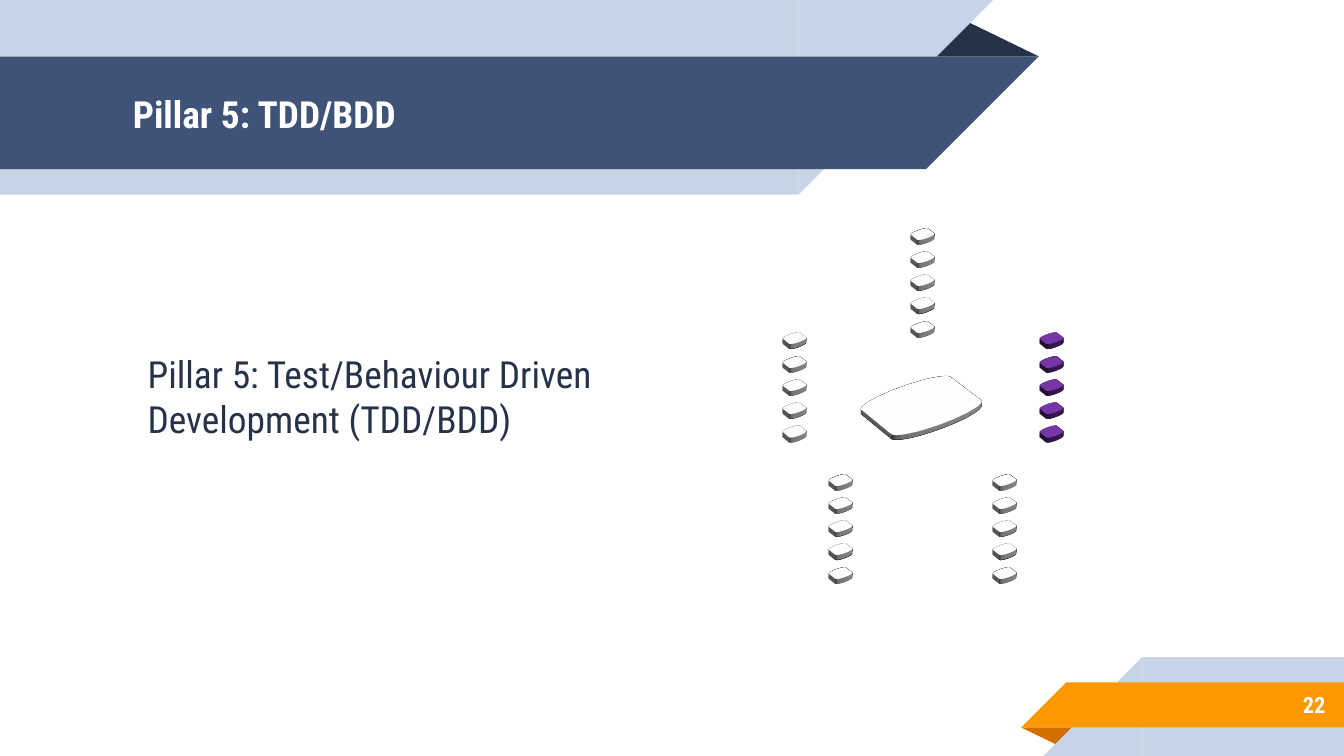
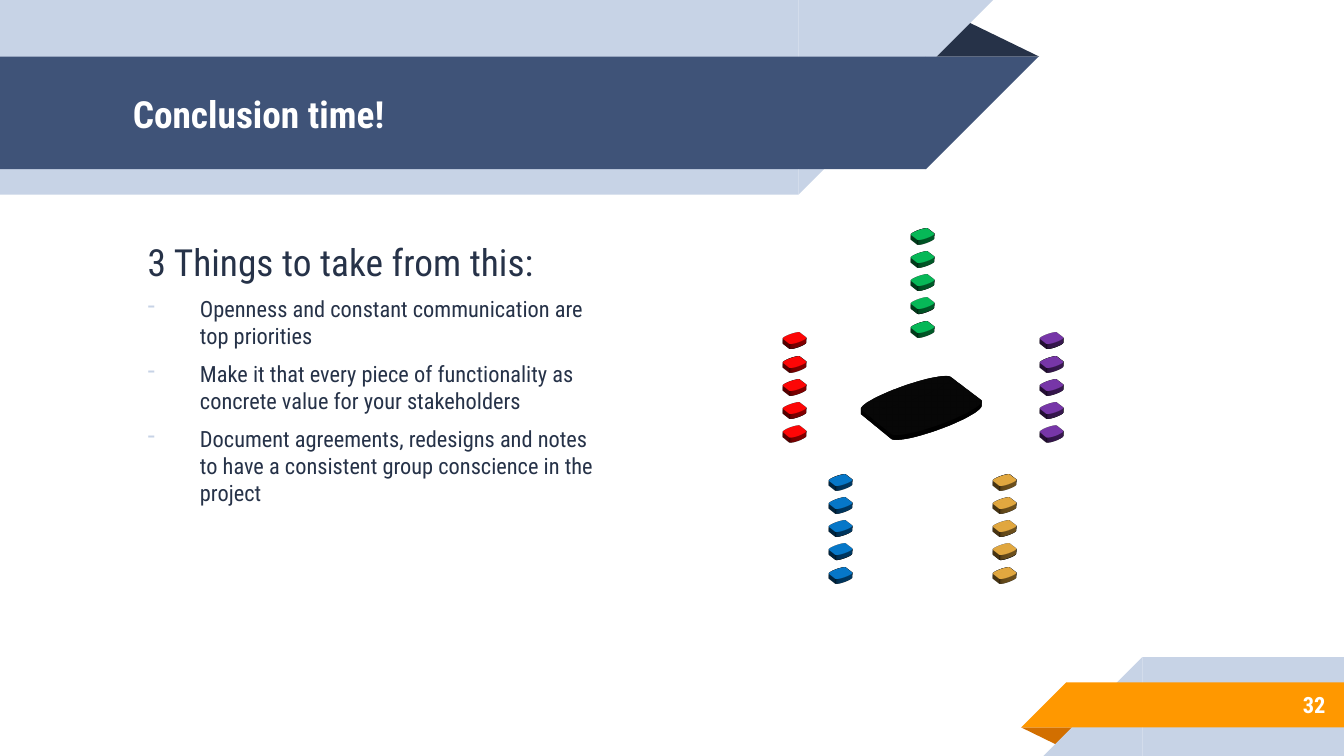
from dataclasses import dataclass
from lxml import etree
from pptx import Presentation
from pptx.dml.color import RGBColor
from pptx.enum.shapes import MSO_SHAPE
from pptx.enum.text import MSO_ANCHOR, PP_ALIGN
from pptx.oxml import parse_xml
from pptx.oxml.ns import nsdecls, qn
from pptx.util import Cm, Pt


@dataclass(frozen=True)
class Theme:
    font: str = "Roboto Condensed"
    ink: str = "263248"
    navy: str = "3F5378"
    pale: str = "C7D3E6"
    orange: str = "FF9800"
    rust: str = "D26F00"
    white: str = "FFFFFF"
    black: str = "000000"
    green: str = "00B050"
    purple: str = "7030A0"
    blue: str = "0070C0"
    gold: str = "D89F39"
    red: str = "FF0000"
    large: int = 20
    small: int = 12
    disk_line: float = 2.75


T = Theme()
WIDTH, HEIGHT = 25.4, 14.29
BANNER = (0, 0, 19.63, 3.68)
FOOTER = (19.3, 12.42, 6.1, 1.87)
BODY = (2.26, 4.27, 9.37, 7.57)
DIAGRAM = (14.83, 4.27, 5.24, 6.7)

TOWERS = {
    "green": (2.42, 0),
    "purple": (4.86, 1.98),
    "gold": (3.97, 4.65),
    "blue": (0.87, 4.65),
    "red": (0, 1.98),
}
DISKS, DISK_STEP = 5, 0.44

SHADOW = f"""<a:outerShdw {nsdecls('a')} blurRad="317500" dir="2700000" algn="ctr">
<a:srgbClr val="{T.black}"><a:alpha val="43000"/></a:srgbClr></a:outerShdw>"""
SCENE = f"""<a:scene3d {nsdecls('a')}><a:camera prst="perspectiveFront" fov="2700000">
<a:rot lat="19086000" lon="19067999" rev="3108000"/></a:camera>
<a:lightRig rig="threePt" dir="t"><a:rot lat="0" lon="0" rev="0"/></a:lightRig></a:scene3d>"""
SOLID = f"""<a:sp3d {nsdecls('a')} extrusionH="38100" prstMaterial="clear">
<a:bevelT w="260350" h="50800" prst="softRound"/><a:bevelB prst="softRound"/></a:sp3d>"""


def add_shape(s, kind, left, top, width, height, color, rotation=0, flip=False):
    sp = s.shapes.add_shape(kind, Cm(left), Cm(top), Cm(width), Cm(height))
    sp.shadow.inherit = False
    sp.fill.solid()
    sp.fill.fore_color.rgb = RGBColor.from_string(color)
    sp.line.fill.background()
    sp.rotation = rotation
    if flip:
        sp._element.spPr.find(qn("a:xfrm")).set("flipH", "1")
    return sp


def add_fold(s, left, top, width, height, color, rotation=0):
    sp = add_shape(s, MSO_SHAPE.ISOSCELES_TRIANGLE, left, top, width, height, color, rotation)
    sp.adjustments[0] = 0.324


def add_ribbon(s, left, top, width, height, color, slant_left=False):
    bar, slant = (left + height, left) if slant_left else (left, left + width - height)
    rotation = 0 if slant_left else 180
    add_shape(s, MSO_SHAPE.RECTANGLE, bar, top, width - height, height, color)
    add_shape(s, MSO_SHAPE.RIGHT_TRIANGLE, slant, top, height, height, color, rotation, True)


def add_text_frame(s, left, top, width, height, anchor):
    tf = s.shapes.add_textbox(Cm(left), Cm(top), Cm(width), Cm(height)).text_frame
    tf.word_wrap = True
    tf.vertical_anchor = anchor
    tf.margin_left = tf.margin_right = tf.margin_top = tf.margin_bottom = Cm(0.25)
    return tf


def add_run(p, text, size, color, bold=False):
    r = p.add_run()
    r.text = text
    r.font.name = T.font
    r.font.size = Pt(size)
    r.font.bold = bold
    r.font.color.rgb = RGBColor.from_string(color)


def indent(p, margin, first=0, bullet=None):
    pPr = p._p.get_or_add_pPr()
    pPr.set("marL", str(Cm(margin)))
    pPr.set("indent", str(Cm(first)))
    if bullet:
        color = etree.SubElement(pPr, qn("a:buClr"))
        etree.SubElement(color, qn("a:srgbClr"), val=T.pale)
        etree.SubElement(pPr, qn("a:buChar"), char=bullet)
    else:
        etree.SubElement(pPr, qn("a:buNone"))


def add_banner(s, box, title):
    x, y, w, h = box
    add_fold(s, x + 17.48, y + 0.36, 2.16, 0.71, T.ink)
    add_ribbon(s, x, y, 18.77, h, T.pale)
    add_ribbon(s, x, y + 1.07, w, 2.13, T.navy)
    tf = add_text_frame(s, x + 2.26, y + 1.09, 14.61, 2.13, MSO_ANCHOR.MIDDLE)
    add_run(tf.paragraphs[0], title, T.large, T.white, True)


def add_footer(s, box, number):
    x, y, w, h = box
    add_fold(s, x, y + 1.33, 1.09, 0.36, T.rust, 180)
    add_ribbon(s, x + 0.42, y, w - 0.42, h, T.pale, True)
    add_ribbon(s, x, y + 0.48, w, 0.85, T.orange, True)
    tf = add_text_frame(s, x + 1.86, y + 0.46, 4.14, 0.89, MSO_ANCHOR.MIDDLE)
    p = tf.paragraphs[0]
    p.alignment = PP_ALIGN.RIGHT
    add_run(p, str(number), T.small, T.white, True)


def add_body(s, box, heading, bullets=(), drop=0):
    x, y, w, h = box
    tf = add_text_frame(s, x, y + drop, w, h - drop, MSO_ANCHOR.TOP)
    p = tf.paragraphs[0]
    indent(p, 0.28)
    add_run(p, heading, T.large, T.ink)
    for text in bullets:
        p = tf.add_paragraph()
        indent(p, 1.27, -0.99, "-")
        p.space_before = Pt(6)
        add_run(p, text, T.small, T.ink)


def add_disk(s, left, top, width, height, color):
    sp = add_shape(s, MSO_SHAPE.FLOWCHART_MAGNETIC_DISK, left, top, width, height, color)
    sp.line.color.rgb = RGBColor.from_string(color)
    sp.line.width = Pt(T.disk_line)
    spPr = sp._element.spPr
    spPr.find(qn("a:effectLst")).append(parse_xml(SHADOW))
    spPr.append(parse_xml(SCENE))
    spPr.append(parse_xml(SOLID))


def add_pillars(s, box, colors, base):
    x, y, w, h = box
    for name, (dx, dy) in TOWERS.items():
        for i in reversed(range(DISKS)):
            add_disk(s, x + dx, y + dy + i * DISK_STEP, 0.38, 0.3, colors.get(name, T.white))
    add_disk(s, x + 1.55, y + 2.66, 2.08, 1.45, base)


def add_content_slide(prs, title, number, heading, colors, base, bullets=(), drop=0):
    s = prs.slides.add_slide(prs.slide_layouts[6])
    add_banner(s, BANNER, title)
    add_footer(s, FOOTER, number)
    add_body(s, BODY, heading, bullets, drop)
    add_pillars(s, DIAGRAM, colors, base)


def main():
    prs = Presentation()
    prs.slide_width, prs.slide_height = Cm(WIDTH), Cm(HEIGHT)
    add_content_slide(
        prs, "Pillar 5: TDD/BDD", 22,
        "Pillar 5: Test/Behaviour Driven Development (TDD/BDD)",
        {"purple": T.purple}, T.white, drop=2.12,
    )
    add_content_slide(
        prs, "Conclusion time!", 32, "3 Things to take from this:",
        {name: getattr(T, name) for name in TOWERS}, T.black,
        bullets=(
            "Openness and constant communication are top priorities",
            "Make it that every piece of functionality as concrete value for your stakeholders",
            "Document agreements, redesigns and notes to have a consistent group conscience in the project",
        ),
    )
    prs.save("out.pptx")


if __name__ == "__main__":
    main()
